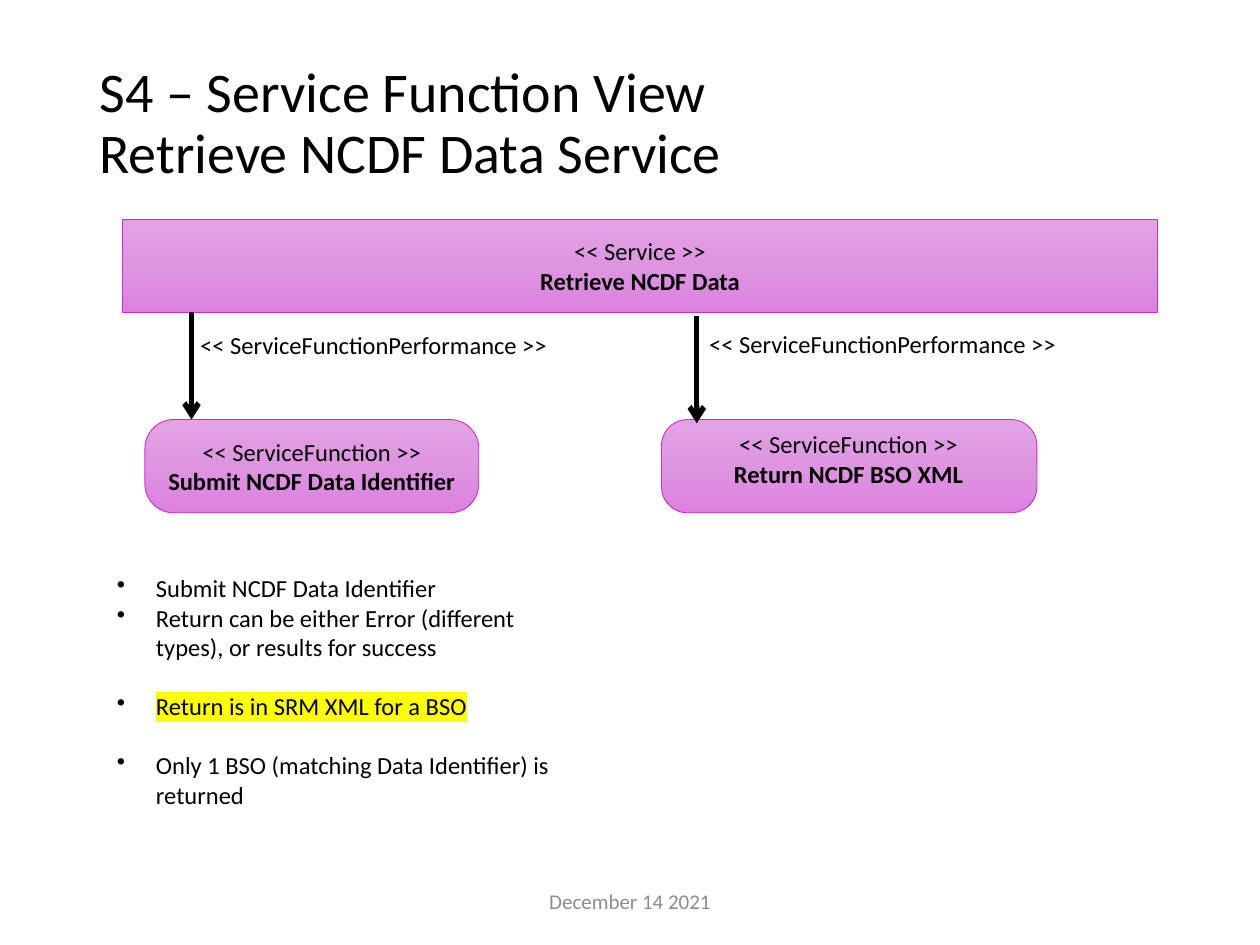
from copy import deepcopy
from dataclasses import dataclass
from typing import Optional

from lxml.etree import SubElement
from pptx import Presentation
from pptx.dml.color import RGBColor
from pptx.enum.shapes import MSO_CONNECTOR, MSO_SHAPE
from pptx.enum.text import MSO_ANCHOR, MSO_AUTO_SIZE, PP_ALIGN
from pptx.oxml.ns import qn
from pptx.util import Inches, Pt

BLACK = RGBColor(0x00, 0x00, 0x00)
GREY = RGBColor(0x8C, 0x8C, 0x8C)
YELLOW = RGBColor(0xFF, 0xFF, 0x00)
EDGE = RGBColor(0xC8, 0x30, 0xCC)
GRADIENT = (RGBColor(0xE2, 0xA3, 0xE5), RGBColor(0xDD, 0x95, 0xE0), RGBColor(0xDC, 0x81, 0xDF))

COLUMNS, ROWS = 100, 75
SLIDE_WIDTH, SLIDE_HEIGHT = Inches(10), Inches(7.5)
NODE_HEIGHT = 7.4
FUNCTION_ROW = 33.3
ARROW_LENGTH = 8.5
LINE_HEIGHT = Pt(17)
INDENT = Inches(0.31)


@dataclass(frozen=True)
class Area:
    """A rectangle in grid columns and rows."""
    column: float
    row: float
    width: float
    height: float

    def lengths(self) -> tuple:
        """Return left, top, width and height as slide lengths."""
        return across(self.column), down(self.row), across(self.width), down(self.height)


@dataclass(frozen=True)
class Line:
    """One paragraph and its look."""
    text: str
    bold: bool = False
    size: float = 14
    color: RGBColor = BLACK
    align: PP_ALIGN = PP_ALIGN.LEFT
    spacing: float = 1.0
    before: int = 0
    bullet: bool = False
    highlight: Optional[RGBColor] = None


@dataclass(frozen=True)
class TextBox:
    """A block of free text."""
    area: Area
    lines: tuple
    anchor: MSO_ANCHOR = MSO_ANCHOR.TOP
    wrap: bool = True


@dataclass(frozen=True)
class Node:
    """A gradient box, rounded when a corner share is given."""
    area: Area
    lines: tuple = ()
    corner: Optional[float] = None


@dataclass(frozen=True)
class Arrow:
    """The start of a downward arrow."""
    column: float
    row: float


def across(columns: float) -> int:
    """Convert grid columns to a length."""
    return round(SLIDE_WIDTH * columns / COLUMNS)


def down(rows: float) -> int:
    """Convert grid rows to a length."""
    return round(SLIDE_HEIGHT * rows / ROWS)


def apply(target, values: dict) -> None:
    """Set each named attribute on the target."""
    for name, value in values.items():
        setattr(target, name, value)


def stereotype(kind: str, name: str) -> tuple:
    """Return the two centred lines of a diagram element."""
    return (Line(f"<< {kind} >>", align=PP_ALIGN.CENTER),
            Line(name, bold=True, align=PP_ALIGN.CENTER))


def write(frame, lines: tuple) -> None:
    """Write the lines as paragraphs of the frame."""
    for index, line in enumerate(lines):
        para = frame.paragraphs[0] if index == 0 else frame.add_paragraph()
        para.text = line.text
        if line.bullet:
            properties = para._p.get_or_add_pPr()
            apply_indent = {"marL": str(INDENT), "indent": str(-INDENT)}
            for name, value in apply_indent.items():
                properties.set(name, value)
            SubElement(properties, qn("a:buChar")).set("char", "•")
        apply(para, {"alignment": line.align, "line_spacing": line.spacing,
                     "space_before": line.before})
        for span in para.runs:
            span.font.color.rgb = line.color
            apply(span.font, {"name": "Calibri", "size": Pt(line.size), "bold": line.bold})
            if line.highlight is not None:
                properties = span._r.get_or_add_rPr()
                mark = SubElement(properties, qn("a:highlight"))
                SubElement(mark, qn("a:srgbClr")).set("val", str(line.highlight))
                properties.find(qn("a:latin")).addprevious(mark)


def draw_text(page, block: TextBox) -> None:
    """Draw a text box."""
    frame = page.shapes.add_textbox(*block.area.lengths()).text_frame
    apply(frame, {"auto_size": MSO_AUTO_SIZE.NONE, "word_wrap": block.wrap,
                  "vertical_anchor": block.anchor})
    write(frame, block.lines)


def draw_node(page, node: Node) -> None:
    """Draw a box with a vertical gradient."""
    kind = MSO_SHAPE.RECTANGLE if node.corner is None else MSO_SHAPE.ROUNDED_RECTANGLE
    box = page.shapes.add_shape(kind, *node.area.lengths())
    if node.corner is not None:
        box.adjustments[0] = node.corner
    box.shadow.inherit = False
    box.fill.gradient()
    box.fill.gradient_angle = 270
    stops = box._element.spPr.find(qn("a:gradFill")).find(qn("a:gsLst"))
    stops.insert(1, deepcopy(stops[0]))
    for index, (stop, color) in enumerate(zip(box.fill.gradient_stops, GRADIENT)):
        stop.position = index / (len(GRADIENT) - 1)
        stop.color.rgb = color
    box.line.color.rgb = EDGE
    box.line.width = Pt(0.5)
    apply(box.text_frame, {"word_wrap": True, "vertical_anchor": MSO_ANCHOR.MIDDLE})
    write(box.text_frame, node.lines)


def draw_arrow(page, arrow: Arrow) -> None:
    """Draw a downward arrow of the common length."""
    column = across(arrow.column)
    link = page.shapes.add_connector(MSO_CONNECTOR.STRAIGHT, column, down(arrow.row),
                                     column, down(arrow.row + ARROW_LENGTH))
    link.line.color.rgb = BLACK
    link.line.width = Pt(3)
    SubElement(link.line._get_or_add_ln(), qn("a:tailEnd")).set("type", "arrow")
    SubElement(link._element.spPr, qn("a:effectLst"))


PERFORMANCE = (Line("<< ServiceFunctionPerformance >>"),)
NODES = (
    Node(Area(9.7, 17.4, 82.2, NODE_HEIGHT), stereotype("Service", "Retrieve NCDF Data")),
    Node(Area(11.5, FUNCTION_ROW, 26.5, NODE_HEIGHT),
         stereotype("ServiceFunction", "Submit NCDF Data Identifier"), 0.31),
    Node(Area(52.5, FUNCTION_ROW, 29.8, NODE_HEIGHT), corner=0.28),
)
ARROWS = (Arrow(15.2, 24.8), Arrow(55.3, 25.1))
TEXTS = (
    TextBox(Area(6.9, 4, 86.2, 11.8),
            (Line("S4 – Service Function View\vRetrieve NCDF Data Service", size=32, spacing=0.9),),
            MSO_ANCHOR.MIDDLE),
    TextBox(Area(33.1, 69.5, 33.8, 4),
            (Line("December 14 2021", size=12, color=GREY, align=PP_ALIGN.CENTER),),
            MSO_ANCHOR.MIDDLE),
    TextBox(Area(57.2, 33.6, 20.3, 5.7),
            stereotype("ServiceFunction", "Return NCDF BSO XML"), wrap=False),
    TextBox(Area(14.9, 25.7, 29.8, 3.4), PERFORMANCE, wrap=False),
    TextBox(Area(55.3, 25.6, 29.8, 3.4), PERFORMANCE, wrap=False),
    TextBox(Area(8.3, 45, 36.4, 19.9), (
        Line("Submit NCDF Data Identifier", bullet=True),
        Line("Return can be either Error (different types), or results for success", bullet=True),
        Line("Return is in SRM XML for a BSO", bullet=True, before=LINE_HEIGHT, highlight=YELLOW),
        Line("Only 1 BSO (matching Data Identifier) is returned", bullet=True, before=LINE_HEIGHT),
    )),
)


def main() -> None:
    """Build and save the service function slide."""
    deck = Presentation()
    apply(deck, {"slide_width": SLIDE_WIDTH, "slide_height": SLIDE_HEIGHT})
    page = deck.slides.add_slide(deck.slide_layouts[6])
    for draw, items in ((draw_node, NODES), (draw_arrow, ARROWS), (draw_text, TEXTS)):
        for item in items:
            draw(page, item)
    deck.save("out.pptx")


if __name__ == "__main__":
    main()
